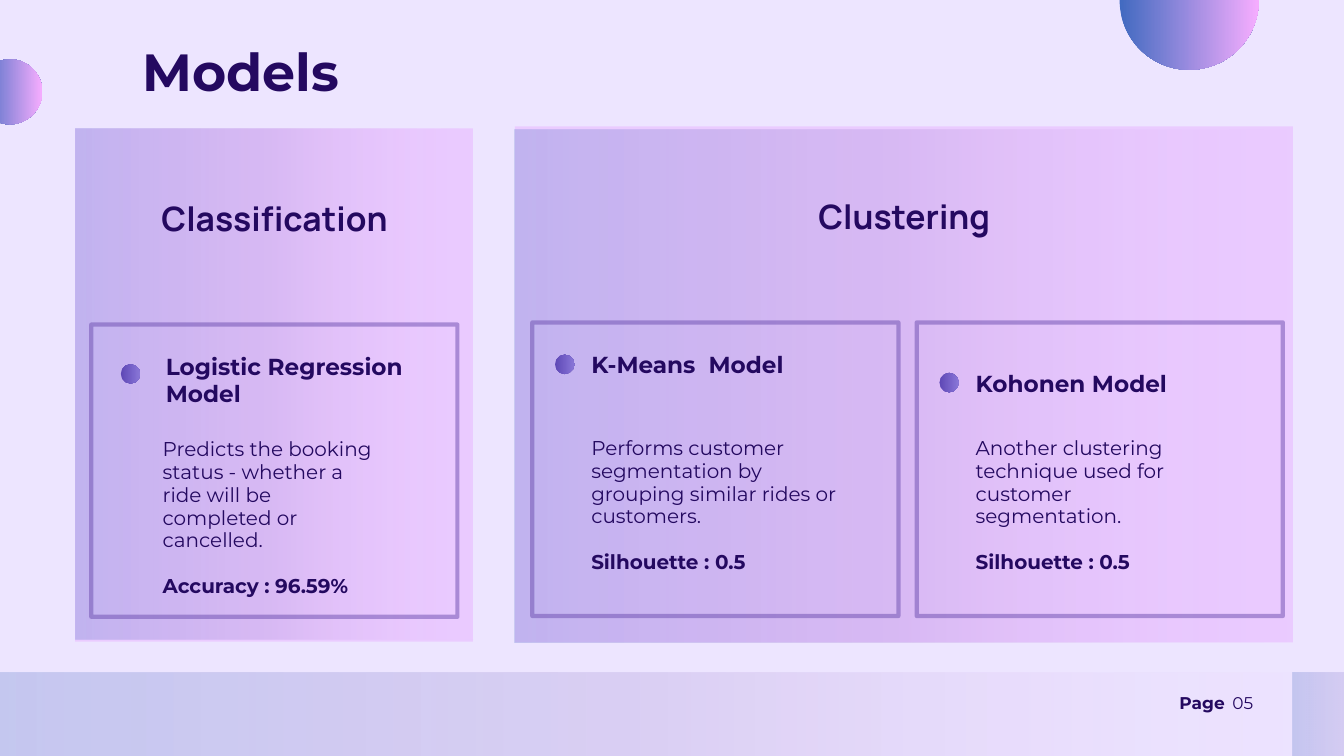
from dataclasses import dataclass
from typing import NamedTuple

from lxml import etree
from pptx import Presentation
from pptx import util as u
from pptx.dml.color import RGBColor
from pptx.enum import shapes, text
from pptx.oxml.ns import qn


class Stop(NamedTuple):
    position: int
    color: str
    opacity: int


class Box(NamedTuple):
    left: float
    top: float
    width: float
    height: float


class Style(NamedTuple):
    font: str
    size: float
    leading: float
    bold: bool = False
    centered: bool = False


@dataclass(frozen=True)
class Theme:
    background: str = "EDE5FF"
    ink: str = "240960"
    frame: str = "6B4CAF"
    frame_width: float = 4.5
    frame_opacity: int = 50
    tint: tuple = (Stop(0, "E378FF", 23),)
    veil: tuple = (Stop(0, "3C67BF", 23), Stop(50, "6B4CAF", 13), Stop(100, "F7ACFF", 0))
    orb: tuple = (Stop(0, "3C67BF", 96), Stop(100, "F7ACFF", 96))
    bullet: tuple = (Stop(0, "5B45B5", 96), Stop(100, "8875D7", 96))
    title: Style = Style("Montserrat", 56, 44.8, bold=True)
    heading: Style = Style("Manrope", 36, 28.8, bold=True, centered=True)
    model: Style = Style("Montserrat", 24.8, 28.3, bold=True)
    body: Style = Style("Montserrat", 21.4, 24.4)
    score: Style = Style("Montserrat", 21.4, 24.4, bold=True)
    page_label: Style = Style("Montserrat", 18.2, 18.6, bold=True)
    page_number: Style = Style("Montserrat", 18.2, 18.6)


@dataclass(frozen=True)
class Panel:
    heading: str
    tint_box: Box
    veil_box: Box
    heading_box: Box


@dataclass(frozen=True)
class Model:
    name: str
    description: str
    score: str
    frame_box: Box
    bullet_at: tuple[float, float]
    name_box: Box
    body_box: Box


THEME = Theme()
BULLET_SIZE = 0.73
RECTANGLE = shapes.MSO_SHAPE.RECTANGLE
OVAL = shapes.MSO_SHAPE.OVAL

PANELS = (
    Panel("Classification", Box(2.84, 4.85, 15.04, 19.41), Box(2.87, 4.85, 15.04, 19.33),
          Box(3.94, 8, 12.88, 1.3)),
    Panel("Clustering", Box(19.46, 4.78, 29.41, 19.51), Box(19.46, 4.9, 29.41, 19.38),
          Box(27.74, 7.9, 12.88, 1.22)),
)

MODELS = (
    Model("Logistic Regression Model",
          "Predicts the booking status - whether a ride will be completed or cancelled.",
          "Accuracy : 96.59%", Box(3.45, 12.27, 13.84, 11.05), (4.57, 13.77),
          Box(6.27, 13.39, 9.35, 1.96), Box(6.15, 16.56, 8.2, 5.94)),
    Model("K-Means  Model",
          "Performs customer segmentation by grouping similar rides or customers.",
          "Silhouette : 0.5", Box(20.12, 12.19, 13.84, 11.1), (20.98, 13.41),
          Box(22.35, 13.31, 9.35, 0.99), Box(22.35, 16.51, 9.47, 5.11)),
    Model("Kohonen Model",
          "Another clustering technique used for customer segmentation.",
          "Silhouette : 0.5", Box(34.65, 12.19, 13.84, 11.1), (35.51, 14.1),
          Box(36.88, 14.02, 9.35, 0.99), Box(36.88, 16.51, 8.2, 6.78)),
)

BANDS = (Box(-0.86, 25.43, 52.93, 4.37), Box(48.87, 25.43, 5.74, 6.22))
ORBS = (Box(42.32, -2.62, 5.26, 5.26), Box(-0.86, 2.24, 2.46, 2.46))


def lengths(box: Box) -> list[u.Length]:
    return [u.Cm(value) for value in box]


def add_color(parent, color: str, opacity: int) -> None:
    rgb = etree.SubElement(parent, qn("a:srgbClr"), val=color)
    etree.SubElement(rgb, qn("a:alpha"), val=str(opacity * 1000))


def fill_element(stops: tuple[Stop, ...]):
    if len(stops) == 1:
        solid = etree.Element(qn("a:solidFill"))
        add_color(solid, stops[0].color, stops[0].opacity)
        return solid
    gradient = etree.Element(qn("a:gradFill"), rotWithShape="1")
    stop_list = etree.SubElement(gradient, qn("a:gsLst"))
    for stop in stops:
        entry = etree.SubElement(stop_list, qn("a:gs"), pos=str(stop.position * 1000))
        add_color(entry, stop.color, stop.opacity)
    etree.SubElement(gradient, qn("a:lin"), ang="0", scaled="0")
    return gradient


def draw_filled(slide, kind, box: Box, stops: tuple[Stop, ...]) -> None:
    shape = slide.shapes.add_shape(kind, *lengths(box))
    shape.shadow.inherit = False
    shape.line.fill.background()
    shape.element.spPr.insert(2, fill_element(stops))


def draw_frame(slide, box: Box) -> None:
    frame = slide.shapes.add_shape(RECTANGLE, *lengths(box))
    frame.shadow.inherit = False
    frame.fill.background()
    frame.line.width = u.Pt(THEME.frame_width)
    outline = fill_element((Stop(0, THEME.frame, THEME.frame_opacity),))
    frame.element.spPr.find(qn("a:ln")).insert(0, outline)


def draw_text(slide, box: Box, *lines: tuple[str, Style]) -> None:
    frame = slide.shapes.add_textbox(*lengths(box)).text_frame
    frame.word_wrap = True
    frame.margin_left = frame.margin_top = frame.margin_right = frame.margin_bottom = 0
    for index, (wording, style) in enumerate(lines):
        paragraph = frame.add_paragraph() if index else frame.paragraphs[0]
        paragraph.line_spacing = u.Pt(style.leading)
        paragraph.space_before = u.Pt(style.leading if index else 0)
        paragraph.alignment = text.PP_ALIGN.CENTER if style.centered else text.PP_ALIGN.LEFT
        run = paragraph.add_run()
        run.text = wording
        run.font.name = style.font
        run.font.size = u.Pt(style.size)
        run.font.bold = style.bold
        run.font.color.rgb = RGBColor.from_string(THEME.ink)


def draw_panel(slide, panel: Panel) -> None:
    draw_filled(slide, RECTANGLE, panel.tint_box, THEME.tint)
    draw_filled(slide, RECTANGLE, panel.veil_box, THEME.veil)
    draw_text(slide, panel.heading_box, (panel.heading, THEME.heading))


def draw_model(slide, model: Model) -> None:
    draw_frame(slide, model.frame_box)
    draw_filled(slide, OVAL, Box(*model.bullet_at, BULLET_SIZE, BULLET_SIZE), THEME.bullet)
    draw_text(slide, model.name_box, (model.name, THEME.model))
    draw_text(slide, model.body_box, (model.description, THEME.body), (model.score, THEME.score))


def main() -> None:
    deck = Presentation()
    deck.slide_width, deck.slide_height = u.Cm(50.8), u.Cm(28.58)
    slide = deck.slides.add_slide(deck.slide_layouts[6])
    slide.background.fill.solid()
    slide.background.fill.fore_color.rgb = RGBColor.from_string(THEME.background)

    for band in BANDS:
        draw_filled(slide, RECTANGLE, band, THEME.veil)
    for orb in ORBS:
        draw_filled(slide, OVAL, orb, THEME.orb)
    draw_text(slide, Box(5.38, 2.29, 19.86, 1.75), ("Models", THEME.title))
    for panel in PANELS:
        draw_panel(slide, panel)
    for model in MODELS:
        draw_model(slide, model)
    draw_text(slide, Box(44.58, 26.31, 2.01, 0.69), ("Page", THEME.page_label))
    draw_text(slide, Box(46.58, 26.31, 0.99, 0.66), ("05", THEME.page_number))
    deck.save("out.pptx")


if __name__ == "__main__":
    main()
